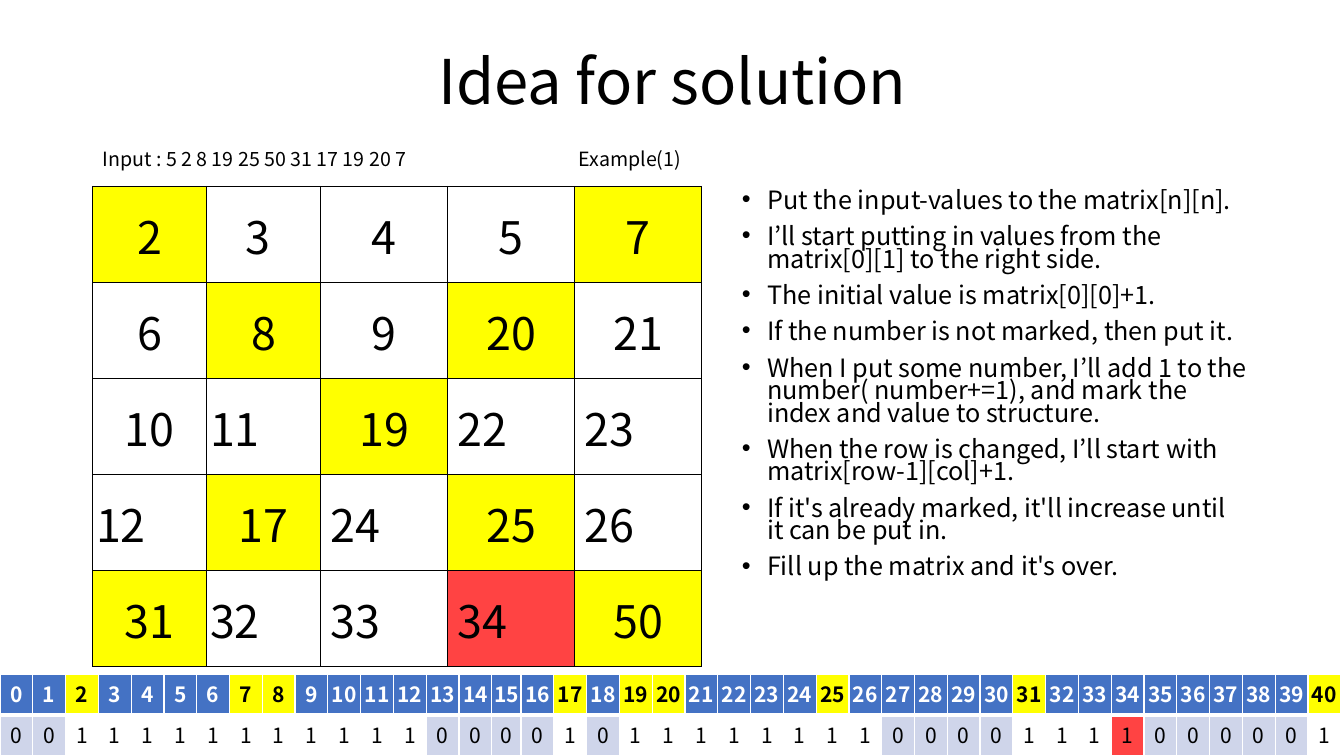
import pptx
import pptx.dml.color
import pptx.enum.text
import pptx.oxml.ns
import pptx.util
from lxml import etree

Inches, Pt = pptx.util.Inches, pptx.util.Pt
ALIGN, ANCHOR = pptx.enum.text.PP_ALIGN, pptx.enum.text.MSO_ANCHOR
qn = pptx.oxml.ns.qn

THEME = {
    "font": "Noto Sans CJK KR",
    "ink": "000000", "paper": "FFFFFF",
    "given": "FFFF00", "last": "FF4343",
    "header": "4472C4", "unused": "CFD5EA",
    "title": 44, "matrix": 32, "steps": 18, "strip": 15, "caption": 14,
}


def write(paragraph, text, size, color="ink", bold=False, **layout):
    """Put one styled run in a paragraph and apply its layout values."""
    run = paragraph.add_run()
    run.text = text
    run.font.color.rgb = pptx.dml.color.RGBColor.from_string(THEME[color])
    for name, value in {"name": THEME["font"], "size": Pt(THEME[size]), "bold": bold}.items():
        setattr(run.font, name, value)
    for name, value in layout.items():
        setattr(paragraph, name, value)


def style_cell(cell, fill, line, widths, **layout):
    """Set borders (left, right, top, bottom), fill and margins of a cell."""
    properties = cell._tc.get_or_add_tcPr()
    for side, width in zip("LRTB", widths):
        border = etree.SubElement(properties, qn(f"a:ln{side}"), w=str(Pt(width)))
        solid = etree.SubElement(border, qn("a:solidFill"))
        etree.SubElement(solid, qn("a:srgbClr"), val=THEME[line])
    if fill:
        cell.fill.solid()
        cell.fill.fore_color.rgb = pptx.dml.color.RGBColor.from_string(THEME[fill])
    else:
        cell.fill.background()
    for name, value in layout.items():
        setattr(cell, name, value)


deck = pptx.Presentation()
deck.slide_width, deck.slide_height = Inches(13.33), Inches(7.5)
slide = deck.slides.add_slide(deck.slide_layouts[6])

# Title and captions
headings = [
    ("Idea for solution", "title", (0.92, 0.11, 11.5, 1.45), ALIGN.CENTER, ANCHOR.MIDDLE),
    ("Input : 5 2 8 19 25 50 31 17 19 20 7", "caption", (0.92, 1.43, 6.04, 0.42), ALIGN.LEFT, ANCHOR.TOP),
    ("Example(1)", "caption", (5.64, 1.43, 1.32, 0.42), ALIGN.LEFT, ANCHOR.TOP),
]
for text, size, place, alignment, anchor in headings:
    heading = slide.shapes.add_textbox(*map(Inches, place)).text_frame
    heading.word_wrap = True
    heading.vertical_anchor = anchor
    write(heading.paragraphs[0], text, size, alignment=alignment, line_spacing=0.9)

# Filled matrix
matrix_values = [
    [2, 3, 4, 5, 7],
    [6, 8, 9, 20, 21],
    [10, 11, 19, 22, 23],
    [12, 17, 24, 25, 26],
    [31, 32, 33, 34, 50],
]
given_values = {2, 7, 8, 17, 19, 20, 25, 31, 50}
last_value = 34
# Extra room on the right moves some numbers off the centre of their cell
right_margins = {3: 0.12} | dict.fromkeys([11, 12, 22, 23, 24, 26, 32, 33, 34], 0.58)

matrix = slide.shapes.add_table(5, 5, Inches(0.92), Inches(1.85), Inches(6.04), Inches(4.76)).table
matrix.first_row = matrix.horz_banding = False
for column, width in zip(matrix.columns, [1.13, 1.13, 1.26, 1.26, 1.26]):
    column.width = Inches(width)
for row, values in enumerate(matrix_values):
    for col, value in enumerate(values):
        cell = matrix.cell(row, col)
        fill = "given" if value in given_values else "last" if value == last_value else None
        style_cell(cell, fill, "ink", (1, 1, 1, 1), vertical_anchor=ANCHOR.MIDDLE,
                   margin_left=Inches(0.01), margin_top=Inches(0.01),
                   margin_right=Inches(right_margins.get(value, 0.01)), margin_bottom=0)
        write(cell.text_frame.paragraphs[0], str(value), "matrix", alignment=ALIGN.CENTER)

# Steps of the solution
steps_text = [
    "Put the input-values to the matrix[n][n].",
    "I’ll start putting in values from the matrix[0][1] to the right side.",
    "The initial value is matrix[0][0]+1.",
    "If the number is not marked, then put it.",
    "When I put some number, I’ll add 1 to the number( number+=1), and mark the index and value to structure.",
    "When the row is changed, I’ll start with matrix[row-1][col]+1.",
    "If it's already marked, it'll increase until it can be put in.",
    "Fill up the matrix and it's over.",
]
steps = slide.shapes.add_textbox(Inches(7.26), Inches(1.85), Inches(5.21), Inches(4.76)).text_frame
steps.word_wrap = True
for index, text in enumerate(steps_text):
    step = steps.add_paragraph() if index else steps.paragraphs[0]
    write(step, text, "steps", line_spacing=0.74, space_before=Pt(10))
    properties = step._p.get_or_add_pPr()
    properties.set("marL", str(Inches(0.25)))
    properties.set("indent", str(-Inches(0.25)))
    etree.SubElement(properties, qn("a:buFont"), typeface="Arial")
    etree.SubElement(properties, qn("a:buChar"), char="•")

# Strip of marked numbers: number above, mark below
highlighted = given_values | {40}
marked = {*range(2, 13), 17, *range(19, 27), *range(31, 35), 40}
strip = slide.shapes.add_table(2, 41, 0, Inches(6.69), Inches(13.3), Inches(0.81)).table
strip.first_row = strip.horz_banding = False
narrow_column, narrow_width = 15, 0.29
for number, column in enumerate(strip.columns):
    column.width = Inches(narrow_width if number == narrow_column else (13.3 - narrow_width) / 40)
    is_given, is_marked = number in highlighted, number in marked
    mark_fill = "last" if number == last_value else "paper" if is_marked else "unused"
    strip_cells = [
        (str(number), "given" if is_given else "header", "ink" if is_given else "paper", True, (1, 1, 1, 3)),
        (str(int(is_marked)), mark_fill, "ink", False, (1, 1, 3, 1)),
    ]
    for row, (text, fill, color, bold, widths) in enumerate(strip_cells):
        cell = strip.cell(row, number)
        style_cell(cell, fill, "paper", widths, margin_left=0, margin_top=Inches(0.04),
                   margin_right=0, margin_bottom=0)
        write(cell.text_frame.paragraphs[0], text, "strip", color, bold, alignment=ALIGN.CENTER)

deck.save("out.pptx")
